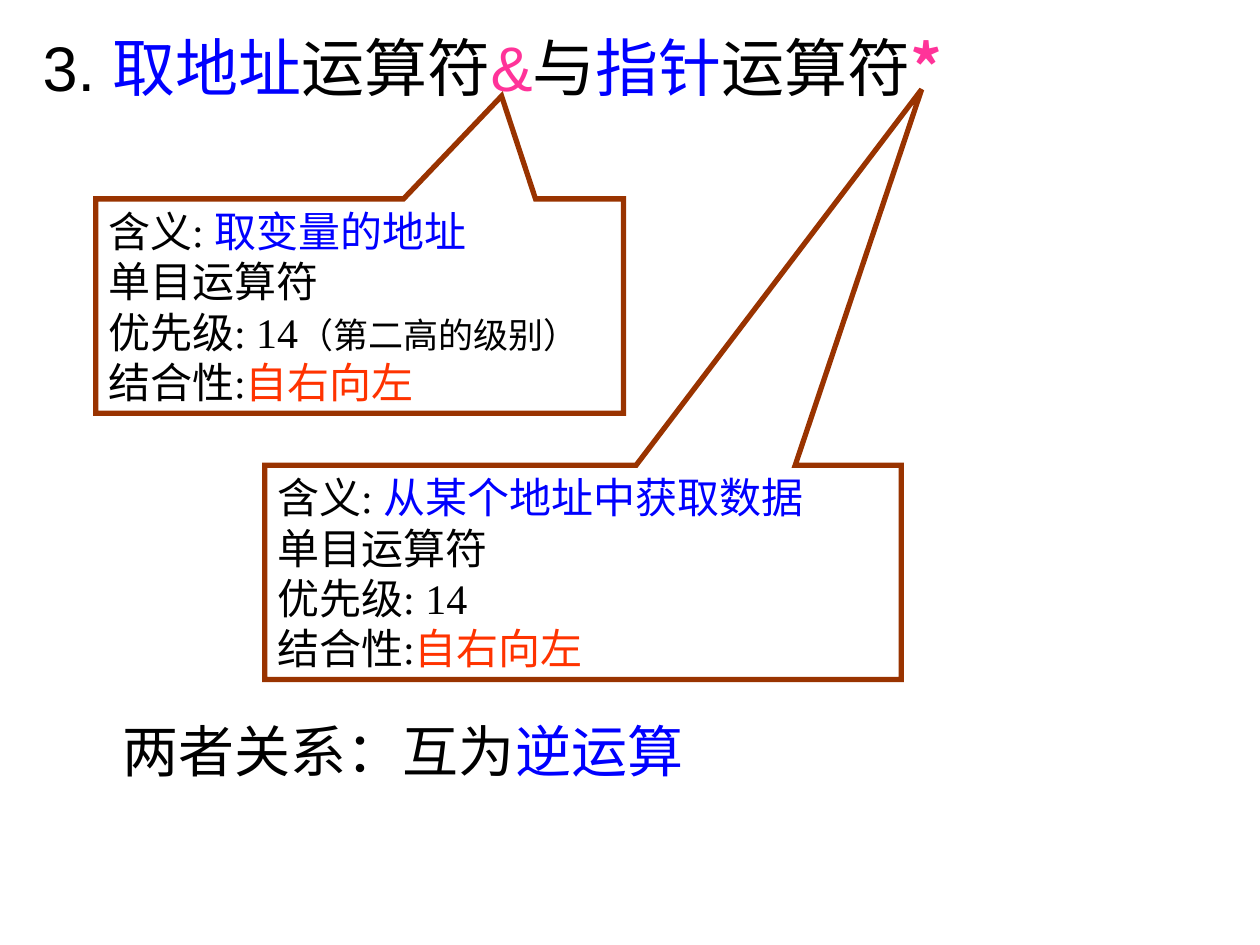
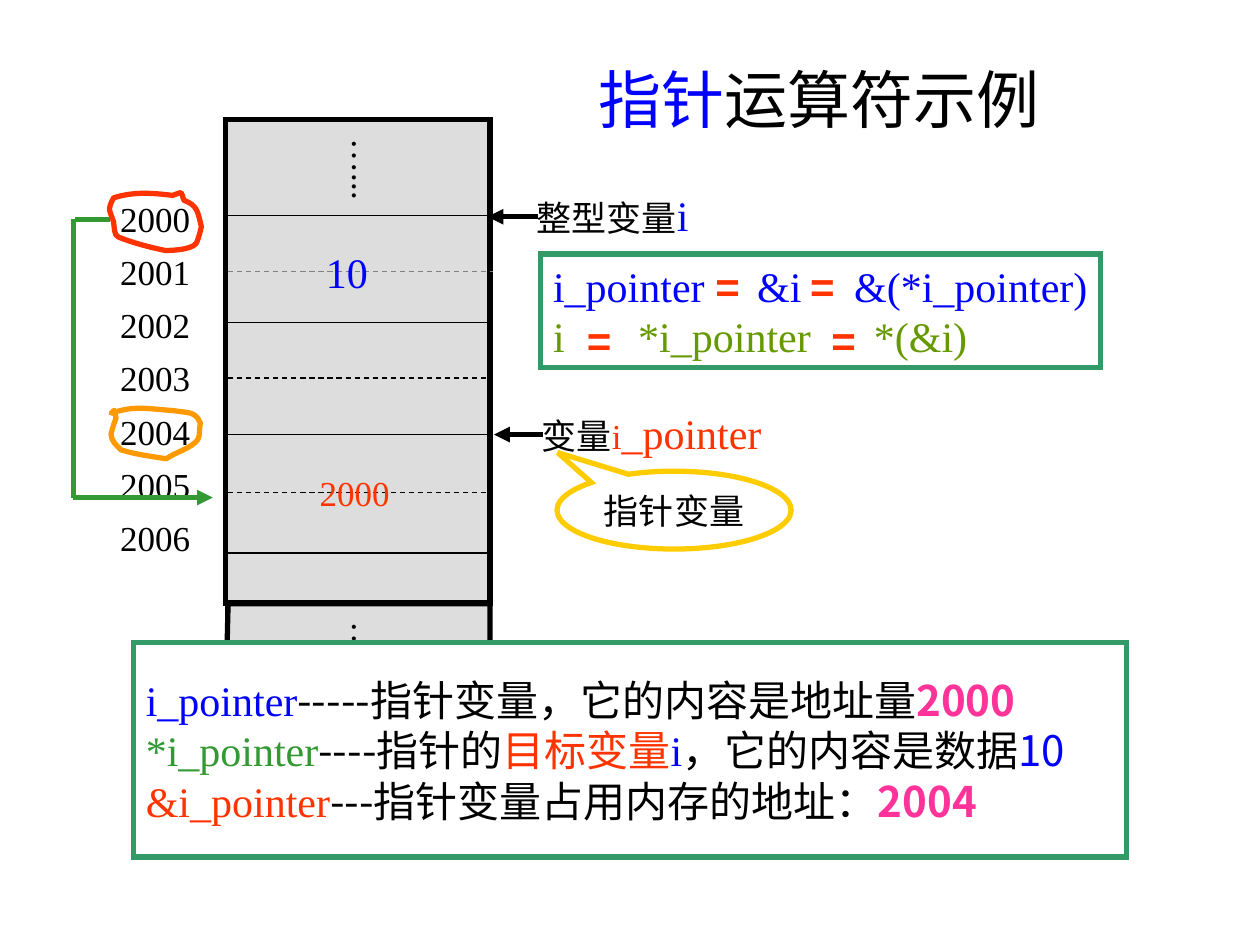
from itertools import product

from lxml.etree import SubElement
from pptx import Presentation
from pptx.dml.color import RGBColor
from pptx.enum.dml import MSO_LINE_DASH_STYLE as Dash
from pptx.enum.shapes import MSO_CONNECTOR as Connector, MSO_SHAPE as Preset
from pptx.enum.text import MSO_ANCHOR as Anchor, MSO_AUTO_SIZE as AutoSize, PP_ALIGN as Align
from pptx.oxml.ns import qn
from pptx.util import Cm, Pt

THEME = {
    "black": "000000", "white": "FFFFFF", "blue": "0000FF", "pink": "FF3399",
    "red": "FF3300", "brown": "993300", "orange": "FF9900", "yellow": "FFCC00",
    "grey": "808080", "memory": "DDDDDD", "green": "339933", "frame": "339966",
    "olive": "669900",
    "title": 36, "relation": 32, "text": 24, "label": 20,
    "thick": 3, "thin": 0.75,
    "serif": "Times New Roman", "sans": "Arial",
    "cjk": "Noto Sans CJK SC", "cjk_star": "Noto Sans CJK KR",
}
SMALL = {"size": "label"}
CJK = {"face": "cjk"}
CJK_BOLD = {"face": "cjk", "bold": True}


def dress(shape, paragraphs=(), fill=None, line=None, size="text", face="serif", bold=False,
          wrap=True, anchor=Anchor.MIDDLE, align=Align.LEFT, indent=0, fixed=True, mitred=True):
    """Set outline, fill and text; each run is (text, colour, optional overrides)."""
    shape.shadow.inherit = False
    for paint, colour in ((shape.fill, fill), (shape.line.fill, line)):
        if colour:
            paint.solid()
            paint.fore_color.rgb = RGBColor.from_string(THEME[colour])
        else:
            paint.background()
    if line:
        shape.line.width = Pt(THEME["thick"])
        if mitred:
            SubElement(shape.line._get_or_add_ln(), qn("a:miter"), lim="800000")
    if not paragraphs:
        return shape
    frame = shape.text_frame
    settings = {"auto_size": AutoSize.NONE, "word_wrap": wrap, "vertical_anchor": anchor,
                "margin_left": Cm(0.25), "margin_right": Cm(0.25),
                "margin_top": Cm(0.13), "margin_bottom": Cm(0.13)}
    for name, value in settings.items():
        setattr(frame, name, value)
    for number, runs in enumerate(paragraphs):
        paragraph = frame.add_paragraph() if number else frame.paragraphs[0]
        properties = paragraph._p.get_or_add_pPr()
        properties.set("marL", str(Cm(indent)))
        properties.set("indent", "0")
        SubElement(properties, qn("a:buNone"))
        paragraph.alignment = align
        paragraph.space_before = Pt(0)
        if fixed:
            paragraph.line_spacing = Pt(1.2 * THEME[size])
        for text, colour, *overrides in runs:
            look = {"size": size, "face": face, "bold": bold, "tracking": 0}
            for override in overrides:
                look.update(override)
            run = paragraph.add_run()
            run.text = text
            formats = {"name": THEME[look["face"]], "size": Pt(THEME[look["size"]]),
                       "bold": look["bold"]}
            for name, value in formats.items():
                setattr(run.font, name, value)
            run.font.color.rgb = RGBColor.from_string(THEME[colour])
            letters = run._r.get_or_add_rPr()
            SubElement(letters, qn("a:ea"), typeface=THEME["cjk"])
            if look["tracking"]:
                letters.set("spc", str(100 * look["tracking"]))
    return shape


def draw_line(slide, points, colour="black", width="thin", dashed=False, arrow=False):
    rule = slide.shapes.add_connector(Connector.STRAIGHT, *map(Cm, points))
    rule.line.color.rgb = RGBColor.from_string(THEME[colour])
    rule.line.width = Pt(THEME[width])
    if dashed:
        rule.line.dash_style = Dash.DASH
    if arrow:
        SubElement(rule.line._get_or_add_ln(), qn("a:tailEnd"), type="triangle")
    SubElement(rule._element.spPr, qn("a:effectLst"))


deck = Presentation()
deck.slide_width, deck.slide_height = Cm(25.4), Cm(19.05)
operators = deck.slides.add_slide(deck.slide_layouts[1])
example = deck.slides.add_slide(deck.slide_layouts[5])

# Titles and the closing statement
headings = [
    (operators.shapes.title, (0.61, 0.53, 21.59, 1.6), [[
        ("3. ", "black"), ("取地址", "blue"), ("运算符", "black"), ("&", "pink"),
        ("与", "black"), ("指针", "blue"), ("运算符", "black"),
        ("*", "pink", {"face": "cjk_star", "bold": True})]],
     {"size": "title", "face": "sans", "fixed": False}),
    (operators.placeholders[1], (0.95, 14.31, 15.49, 1.45),
     [[("两者关系：互为", "black"), ("逆运算", "blue")]],
     {"size": "relation", "anchor": Anchor.TOP, "indent": 1.27}),
    (example.shapes.title, (11.81, 1.16, 11.61, 1.65),
     [[("指针", "blue"), ("运算符示例", "black")]],
     {"size": "title", "face": "sans", "fixed": False}),
]
for placeholder, box, paragraphs, style in headings:
    for name, value in zip(("left", "top", "width", "height"), box):
        setattr(placeholder, name, Cm(value))
    dress(placeholder, paragraphs, **style)

# Slide 1: one callout for each operator
callouts = [
    ((1.93, 4.01, 10.64, 4.32), (0.269, -0.98), "取变量的地址",
     [("（第二高的级别）", "black", SMALL)]),
    ((5.34, 9.38, 12.83, 4.32), (0.532, -2.254), "从某个地址中获取数据", []),
]
for box, tip, meaning, remark in callouts:
    callout = operators.shapes.add_shape(Preset.RECTANGULAR_CALLOUT, *map(Cm, box))
    for axis, value in enumerate(tip):
        callout.adjustments[axis] = value
    dress(callout, [
        [("含义: ", "black"), (meaning, "blue")],
        [("单目运算符", "black")],
        [("优先级: 14", "black"), *remark],
        [("结合性:", "black"), ("自右向左", "red")],
    ], fill="white", line="brown")

# Slide 2: rings around two addresses, three points to each Bézier curve, and the torn cell
outlines = [
    ("orange", "white", True, [
        (2.24, 8.33),
        (2.72, 8.18), (2.87, 8.23), (3.51, 8.28),
        (3.78, 8.33), (3.94, 8.28), (4.04, 8.53),
        (4.01, 8.66), (4.04, 8.76), (3.99, 8.86),
        (3.86, 9.04), (3.53, 9.12), (3.35, 9.25),
        (3.0, 9.19), (2.77, 9.17), (2.44, 9.07),
        (2.36, 8.99), (2.24, 8.89), (2.24, 8.76),
        (2.26, 8.64), (2.34, 8.43), (2.34, 8.43),
        (2.29, 8.26), (2.34, 8.23), (2.24, 8.33)]),
    ("red", None, True, [
        (3.48, 3.94),
        (3.07, 3.89), (2.69, 3.86), (2.29, 3.99),
        (2.18, 4.22), (2.18, 4.17), (2.29, 4.47),
        (2.31, 4.57), (2.29, 4.75), (2.39, 4.78),
        (2.69, 4.9), (3.0, 4.98), (3.33, 5.05),
        (3.4, 5.05), (3.86, 5.05), (3.96, 4.9),
        (4.01, 4.8), (4.06, 4.57), (4.06, 4.57),
        (3.99, 4.29), (3.99, 4.14), (3.71, 4.04),
        (3.63, 3.84), (3.71, 3.86), (3.48, 3.94)]),
    ("black", "memory", False, [
        (4.6, 12.17), (9.88, 12.17), (9.88, 14.91), (9.58, 15.14), (7.72, 14.22),
        (6.93, 13.87), (6.15, 13.82), (5.51, 13.97), (4.55, 14.22)]),
]
for colour, fill, curved, points in outlines:
    corners = [(Cm(x), Cm(y)) for x, y in points]
    builder = example.shapes.build_freeform(*corners[0])
    builder.add_line_segments(corners[1:], close=True)
    outline = dress(builder.convert_to_shape(), fill=fill, line=colour, mitred=False)
    if curved:
        segments = list(outline._element.iter(qn("a:lnTo")))[:len(points) - 1]
        for start in range(0, len(segments), 3):
            curve = segments[start].makeelement(qn("a:cubicBezTo"))
            segments[start].addprevious(curve)
            for segment in segments[start:start + 3]:
                curve.append(segment[0])
                segment.getparent().remove(segment)

# Memory column with its cell borders
memory = example.shapes.add_shape(Preset.RECTANGLE, *map(Cm, (4.55, 2.41, 5.33, 9.75)))
dress(memory, fill="memory", line="black")
for row, y in enumerate((4.34, 5.48, 6.5, 7.62, 8.76, 9.93, 11.15)):
    draw_line(example, (4.6, y, 9.93, y), "grey" if row == 1 else "black", dashed=row % 2 == 1)
for x, bottom in ((4.55, 14.22), (9.88, 14.86)):
    draw_line(example, (x, 12.22, x, bottom))

# Addresses, cell contents, variable names
centred = {"align": Align.CENTER}
small_centred = {**centred, **SMALL}
top_left = {"anchor": Anchor.TOP}
labels = [((2.18, 3.85 + 1.07 * row, 1.9, 1.12), [(str(2000 + row), "black")], small_centred)
          for row in range(7)]
labels += [
    ((6.32, 4.85, 1.35, 1.27), [("10", "blue")], centred),
    ((6.2, 9.36, 1.9, 1.12), [("2000", "red")], small_centred),
    ((10.57, 3.7, 3.73, 1.27), [("整型变量", "black", SMALL), ("i", "blue")], top_left),
    ((10.67, 8.08, 5.11, 1.27),
     [("变量", "black", SMALL), ("i", "red", SMALL), ("_pointer", "red")], top_left),
]
for box, runs, style in labels:
    dress(example.shapes.add_textbox(*map(Cm, box)), [runs], wrap=False, **style)
for top in (2.67, 12.4):
    dots = example.shapes.add_textbox(*map(Cm, (6.71, top, 1.35, 1.5)))
    dress(dots, [[("…...", "black")]], wrap=False, **small_centred)
    dots.text_frame._txBody.bodyPr.set("vert", "eaVert")

# Arrows to the variables and from address 2000 to the pointer's cell
for points in ((10.85, 4.37, 9.83, 4.37), (10.95, 8.76, 9.96, 8.76)):
    draw_line(example, points, width="thick", arrow=True)
pointer_route = [(2.21, 4.42, 1.52, 4.42), (1.48, 4.42, 1.48, 10.03), (1.48, 10.03, 4.29, 10.03)]
for points in pointer_route:
    draw_line(example, points, "green", "thick", arrow=points is pointer_route[-1])

pointer_note = example.shapes.add_shape(Preset.OVAL_CALLOUT, *map(Cm, (11.23, 9.5, 4.72, 1.57)))
for axis, value in enumerate((-0.497, -0.739)):
    pointer_note.adjustments[axis] = value
dress(pointer_note, [[("指针变量", "black")]], line="yellow", wrap=False, **small_centred)

# Framed summary and equations
summary = example.shapes.add_shape(Preset.RECTANGLE, *map(Cm, (2.69, 12.96, 20.02, 4.32)))
dress(summary, [
    [("i_pointer", "blue"), ("-----指针变量，它的内容是地址量", "black", CJK),
     ("2000", "pink", CJK_BOLD)],
    [("*i_pointer", "green"), ("----指针的", "black", CJK), ("目标变量", "red", CJK),
     ("i", "blue"), ("，它的内容是数据", "black", CJK), ("10", "blue", CJK)],
    [("&i_pointer", "red"), ("---指针变量占用内存的地址：", "black", CJK),
     ("2004", "pink", CJK_BOLD)],
], fill="white", line="frame")

# Each gap is a single space, tracked wide enough to hold an equals sign
equation_lines = [
    ("blue", ("i_pointer", "&i", "&(*i_pointer)"), (24, 24)),
    ("olive", ("i", "*i_pointer", "*(&i)"), (36, 30)),
]
equation_runs = []
for colour, (first, *others), gaps in equation_lines:
    runs = [(first, colour)]
    for gap, term in zip(gaps, others):
        runs += [(" ", colour, {"tracking": gap}), (term, colour)]
    equation_runs.append(runs)
equations = example.shapes.add_shape(Preset.RECTANGLE, *map(Cm, (10.9, 5.12, 11.28, 2.29)))
dress(equations, equation_runs, fill="white", line="frame", wrap=False)
for left, top in [*product((14.17, 16.08), (5.13,)), *product((11.58, 16.51), (6.22,))]:
    equals = example.shapes.add_textbox(*map(Cm, (left, top, 0.99, 1.27)))
    dress(equals, [[("=", "red")]], face="sans", bold=True, wrap=False, anchor=Anchor.TOP)

deck.save("out.pptx")
